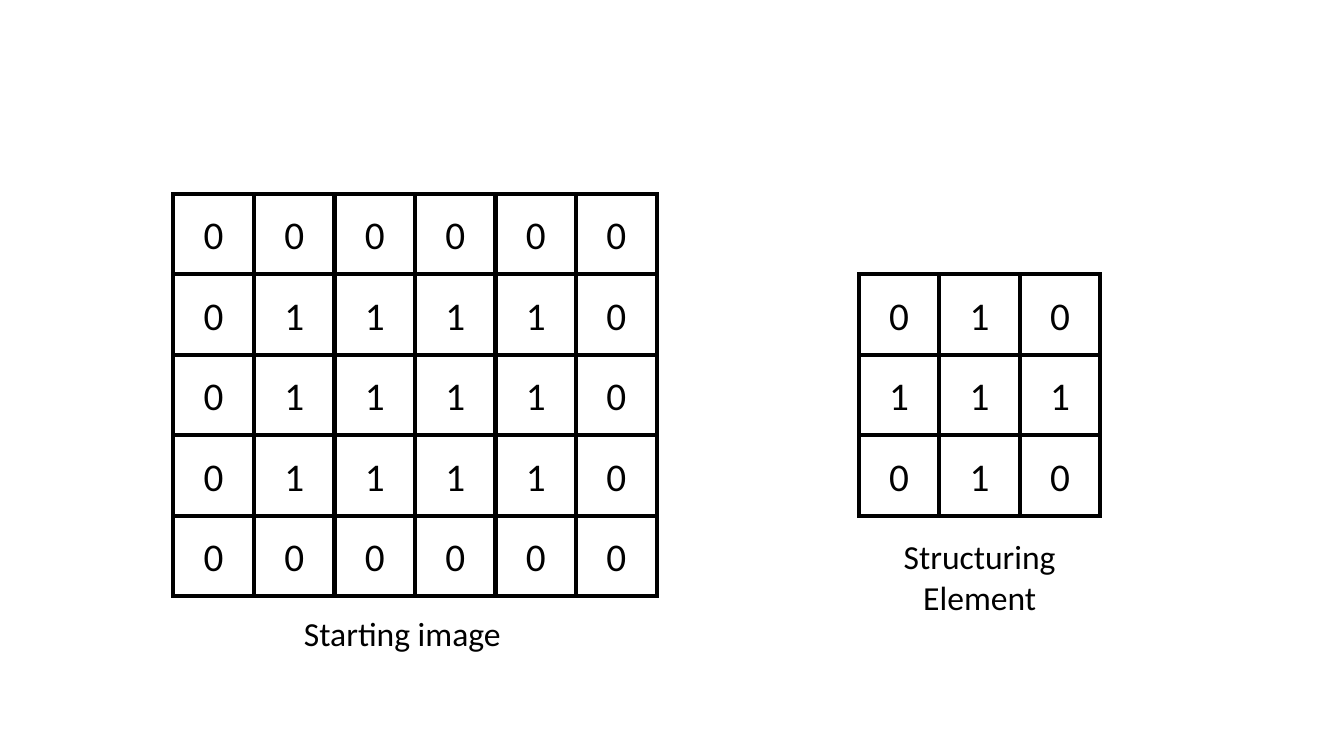
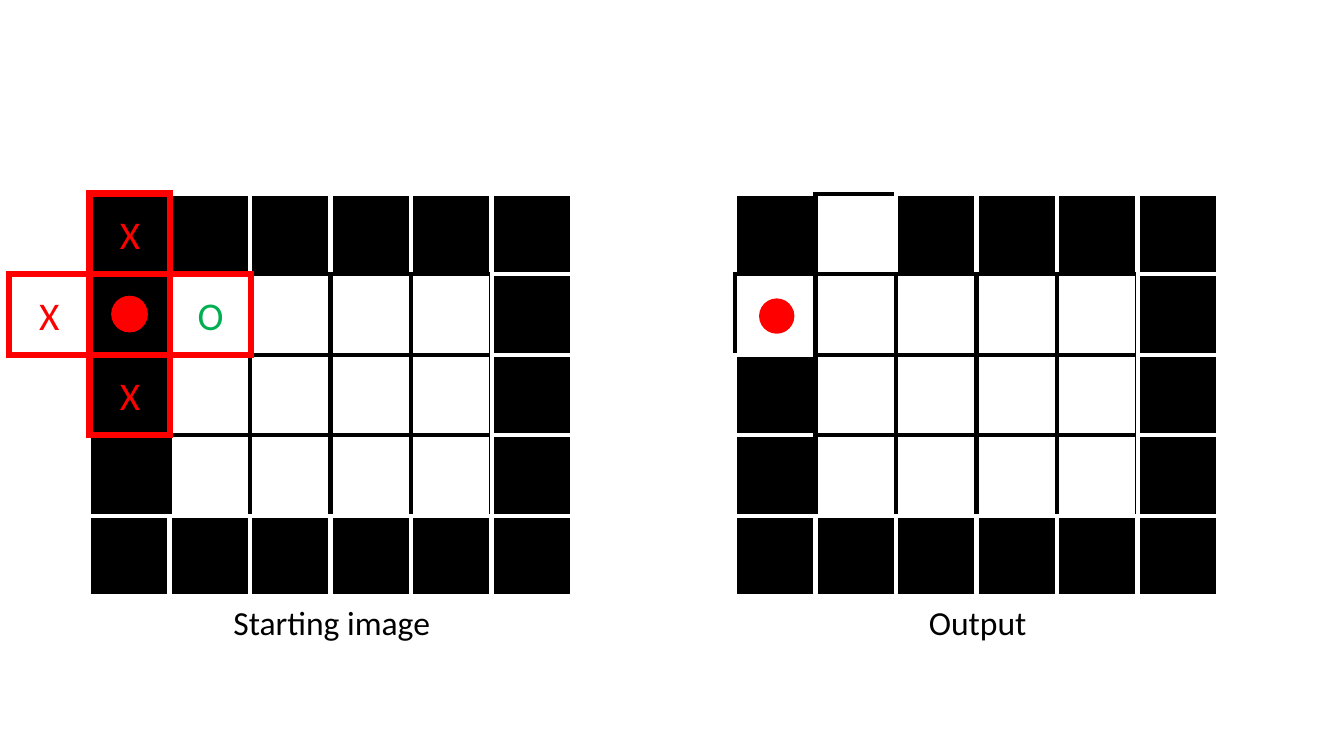
from lxml import etree
from pptx import Presentation
from pptx.dml.color import RGBColor
from pptx.enum.shapes import MSO_SHAPE
from pptx.enum.text import MSO_ANCHOR, MSO_AUTO_SIZE, PP_ALIGN
from pptx.oxml.ns import qn
from pptx.util import Cm, Pt

BLACK = RGBColor(0x00, 0x00, 0x00)
WHITE = RGBColor(0xFF, 0xFF, 0xFF)
RED = RGBColor(0xFF, 0x00, 0x00)
GREEN = RGBColor(0x00, 0xB0, 0x50)
FONT = "Calibri"

# Lengths in centimetres
CELL = 2.03
GRID_TOP = 4.88
DOT = 0.89
CAPTION_W = 6.76


def add_part(shapes, kind, left, top, size, fill=None, line=None, width=3):
    sp = shapes.add_shape(kind, Cm(left), Cm(top), Cm(size), Cm(size))
    sp.shadow.inherit = False
    for paint, color in ((sp.fill, fill), (sp.line.fill, line)):
        if color is None:
            paint.background()
        else:
            paint.solid()
            paint.fore_color.rgb = color
    if line is not None:
        sp.line.width = Pt(width)
        etree.SubElement(sp.line._get_or_add_ln(), qn("a:miter"), lim="800000")
    return sp


def add_text(tf, lines, size, color):
    for i, text in enumerate(lines):
        p = tf.paragraphs[0] if i == 0 else tf.add_paragraph()
        p.alignment = PP_ALIGN.CENTER
        r = p.add_run()
        r.text = text
        r.font.name = FONT
        r.font.size = Pt(size)
        r.font.color.rgb = color


prs = Presentation()
prs.slide_width, prs.slide_height = Cm(33.87), Cm(19.05)
numbers, erosion = [prs.slides.add_slide(prs.slide_layouts[6]) for _ in range(2)]

# Pixel grids: slide, left, top, rows, painted, caption, caption left and top
start = ["000000", "011110", "011110", "011110", "000000"]
output = ["010000", "111110", "011110", "011110", "000000"]
element = ["010", "111", "010"]
grids = [
    (numbers, 4.37, GRID_TOP, start, False, ["Starting image"], 6.76, 15.32),
    (numbers, 21.64, GRID_TOP + CELL, element, False,
     ["Structuring", "Element"], 21.31, 13.39),
    (erosion, 2.24, GRID_TOP, start, True, ["Starting image"], 4.98, 15.04),
    (erosion, 18.52, GRID_TOP, output, True, ["Output"], 21.26, 15.04),
]
groups = []
for s, left, top, rows, painted, caption, cap_left, cap_top in grids:
    group = s.shapes.add_group_shape()
    groups.append(group)
    cells = [(r, c) for r in range(len(rows)) for c in range(len(rows[0]))]
    # Stack the first three columns row by row, then the others one by one
    cells.sort(key=lambda rc: (max(rc[1], 2), rc[0], rc[1]))
    for row, col in cells:
        value = rows[row][col]
        fill, line = None, BLACK
        if painted:
            fill, line = (WHITE, BLACK) if value == "1" else (BLACK, WHITE)
        sp = add_part(group.shapes, MSO_SHAPE.RECTANGLE,
                      left + col * CELL, top + row * CELL, CELL, fill, line)
        if not painted:
            sp.text_frame.vertical_anchor = MSO_ANCHOR.MIDDLE
            add_text(sp.text_frame, [value], 28, BLACK)

    box = s.shapes.add_textbox(Cm(cap_left), Cm(cap_top), Cm(CAPTION_W),
                               Cm(1.29 + 1.02 * len(caption)))
    tf = box.text_frame
    tf.word_wrap = True
    tf.auto_size = MSO_AUTO_SIZE.SHAPE_TO_FIT_TEXT
    add_text(tf, caption, 24, BLACK)

# The corner pixel under the red cross keeps a black outline
groups[2].shapes[0].line.color.rgb = BLACK

# Structuring element laid over the starting image
cross = erosion.shapes.add_group_shape()
cross_left, cross_top = 2.26, GRID_TOP + CELL
marks = [(0, -1, "X", RED), (-1, 0, "X", RED), (0, 0, "", RED),
         (1, 0, "O", GREEN), (0, 1, "X", RED)]
for dx, dy, mark, color in marks:
    sp = add_part(cross.shapes, MSO_SHAPE.RECTANGLE, cross_left + dx * CELL,
                  cross_top + dy * CELL, CELL, line=RED, width=4.5)
    if mark:
        sp.text_frame.vertical_anchor = MSO_ANCHOR.MIDDLE
        add_text(sp.text_frame, [mark], 28, color)

# Dots on the current pixel and on its result
add_part(cross.shapes, MSO_SHAPE.OVAL, 2.82, 7.47, DOT, RED, RED, 1)
add_part(erosion.shapes, MSO_SHAPE.OVAL, 19.13, 7.52, DOT, RED)

prs.save("out.pptx")
